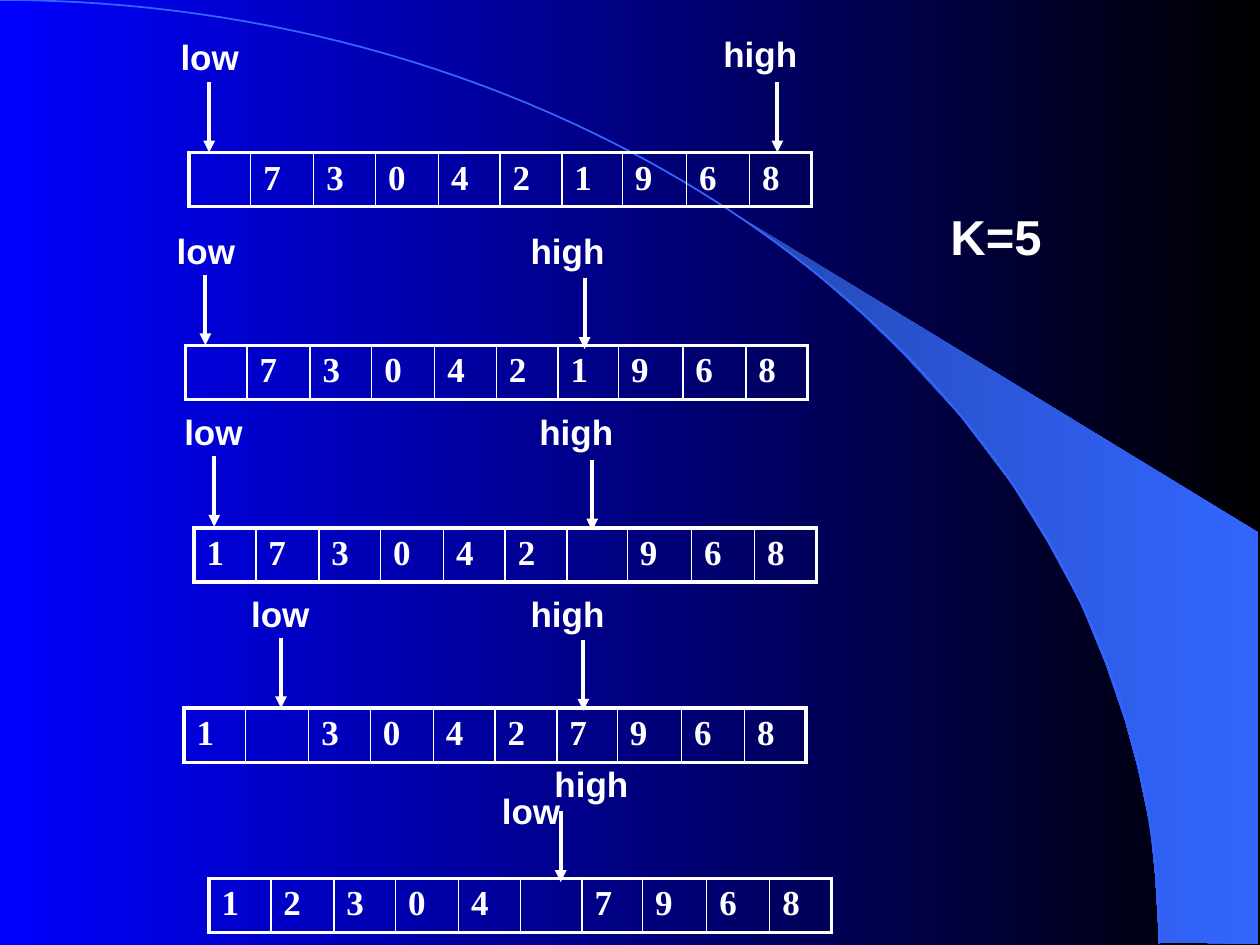
import math
from lxml import etree
from pptx import Presentation
from pptx.dml.color import RGBColor
from pptx.enum import shapes, text
from pptx.oxml import ns
from pptx.util import Inches, Pt

WHITE = "FFFFFF"


def color(value):
    return RGBColor.from_string(value)


def write(frame, words, size, font):
    run = frame.paragraphs[0].add_run()
    run.text = words
    run.font.size = Pt(size)
    run.font.name = font
    run.font.bold = True
    run.font.color.rgb = color(WHITE)


deck = Presentation()
deck.slide_width, deck.slide_height = Inches(10), Inches(7.5)
slide = deck.slides.add_slide(deck.slide_layouts[6])

curve = [(9.2, 7.48), (9.99, 7.49), (9.99, 4.23), (5.89, 1.73), (6.24, 1.99), (6.53, 2.22),
         (6.85, 2.5), (7.16, 2.8), (7.62, 3.3), (8.03, 3.84), (8.32, 4.31), (8.58, 4.79),
         (8.78, 5.28), (8.93, 5.72), (9.03, 6.09), (9.13, 6.56), (9.17, 6.96)]
angles = [math.radians(degree) for degree in range(0, 91)]
arc = [(9.2 * math.sin(a), 7.49 * (1 - math.cos(a))) for a in angles]
outlines = []
for points, closed in ((curve, True), (arc, False)):
    corners = [(Inches(x), Inches(y)) for x, y in points]
    builder = slide.shapes.build_freeform(*corners[0], scale=1.0)
    builder.add_line_segments(corners[1:], close=closed)
    outline = builder.convert_to_shape()
    outline.shadow.inherit = False
    outlines.append(outline)
beam, horizon = outlines
beam.line.fill.background()
horizon.fill.background()
horizon.line.color.rgb = color("3366FF")
horizon.line.width = Pt(1)

for fill, ends in ((slide.background.fill, ("0000FF", "000000")),
                   (beam.fill, ("2449B6", "3366FF"))):
    fill.gradient()
    fill.gradient_angle = 0
    for stop, shade in zip(fill.gradient_stops, ends):
        stop.color.rgb = color(shade)

column_widths = [0.49, 0.5, 0.49, 0.5, 0.49, 0.49, 0.48, 0.51, 0.5, 0.49]
row_height = 0.43
arrow_length = 0.56
steps = [
    (1.5, 1.21, " 730421968", [(1.66, 0.65), (6.17, 0.65)], (1.25, 0.23), (5.62, 0.21)),
    (1.47, 2.74, " 730421968", [(1.63, 2.18), (4.64, 2.21)], (1.22, 1.77), (4.09, 1.77)),
    (1.54, 4.19, "173042 968", [(1.7, 3.62), (4.7, 3.65)], (1.28, 3.21), (4.16, 3.21)),
    (1.46, 5.62, "1 30427968", [(2.23, 5.06), (4.63, 5.08)], (1.81, 4.65), (4.09, 4.65)),
    (1.66, 6.97, "12304 7968", [(4.45, 6.44)], (3.8, 6.22), (4.28, 6)),
]
labels = [("K=5", 6.68, 1.59, 2.45, 0.57, 28)]

for left, top, digits, arrows, low, high in steps:
    array = slide.shapes.add_table(1, len(digits), Inches(left), Inches(top),
                                   Inches(sum(column_widths)), Inches(row_height)).table
    array.first_row = array.horz_banding = False
    last = len(digits) - 1
    for index, digit in enumerate(digits):
        array.columns[index].width = Inches(column_widths[index])
        cell = array.cell(0, index)
        if digit != " ":
            write(cell.text_frame, digit, 20, "Times New Roman")
        properties = cell._tc.get_or_add_tcPr()
        for side, width in (("L", 1 if index else 2.25), ("R", 1 if index < last else 2.25),
                            ("T", 2.25), ("B", 2.25)):
            border = etree.SubElement(properties, ns.qn(f"a:ln{side}"), w=str(Pt(width)))
            paint = etree.SubElement(border, ns.qn("a:solidFill"))
            etree.SubElement(paint, ns.qn("a:srgbClr"), val=WHITE)
        cell.fill.background()

    for x, y in arrows:
        arrow = slide.shapes.add_connector(shapes.MSO_CONNECTOR.STRAIGHT, Inches(x), Inches(y),
                                           Inches(x), Inches(y + arrow_length))
        arrow.line.color.rgb = color(WHITE)
        arrow.line.width = Pt(2.25)
        etree.SubElement(arrow.get_or_add_ln(), ns.qn("a:tailEnd"), type="triangle")
        etree.SubElement(arrow._element.spPr, ns.qn("a:effectLst"))

    for word, place in (("low", low), ("high", high)):
        labels.append((word, *place, 0.83, 0.43, 20))

for word, left, top, width, height, size in labels:
    frame = slide.shapes.add_textbox(Inches(left), Inches(top),
                                     Inches(width), Inches(height)).text_frame
    frame.word_wrap = True
    frame.auto_size = text.MSO_AUTO_SIZE.SHAPE_TO_FIT_TEXT
    frame.paragraphs[0].alignment = text.PP_ALIGN.CENTER
    write(frame, word, size, "Arial")

deck.save("out.pptx")
